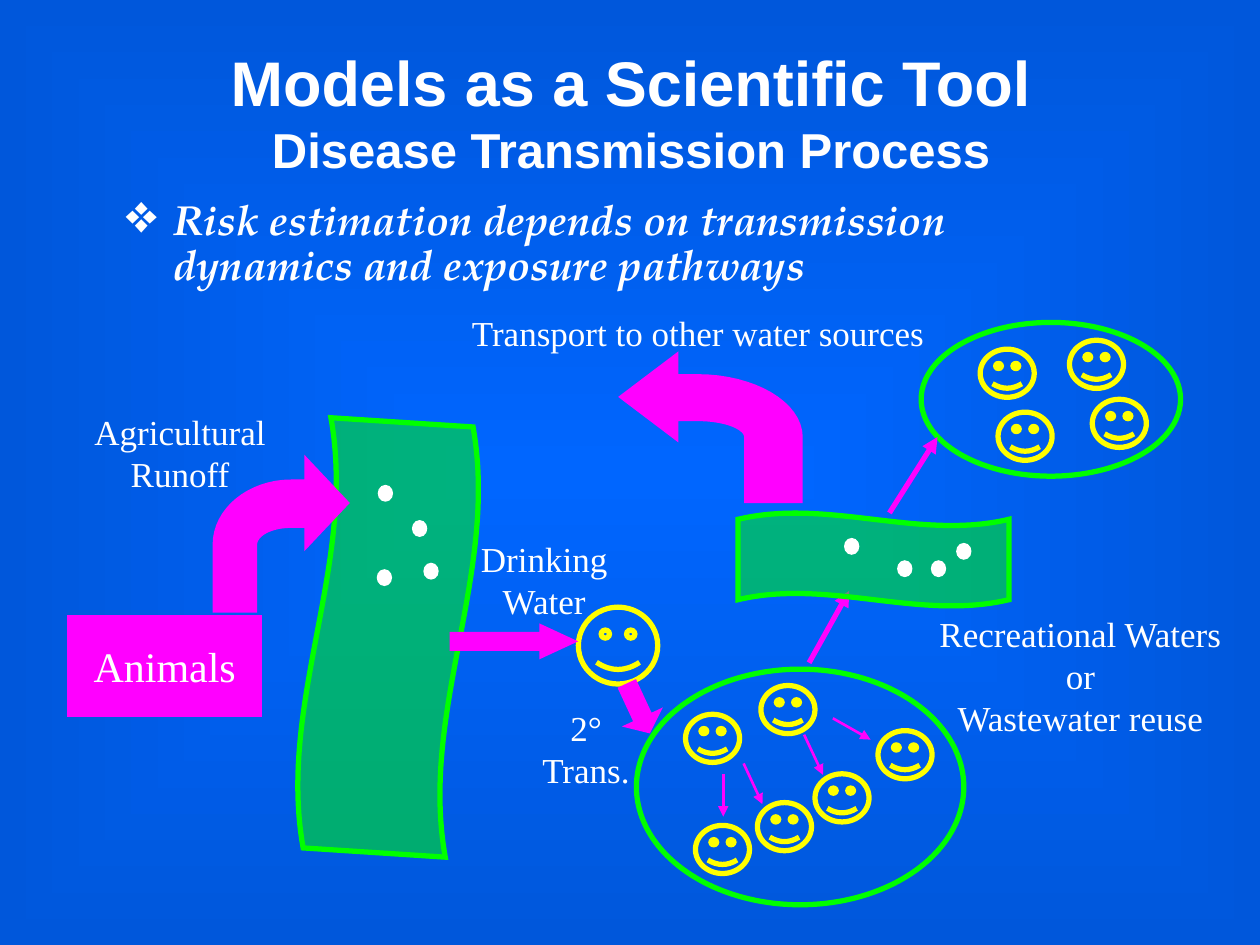
from copy import deepcopy
from typing import NamedTuple

from lxml import etree
from pptx import Presentation
from pptx import util as u
from pptx.dml.color import RGBColor
from pptx.enum import shapes, text
from pptx.oxml.ns import qn

GREEN, MAGENTA, YELLOW, WHITE = "00FF00", "FF00FF", "FFFF00", "FFFFFF"
SERIF = "Times New Roman"
FACE_SIZE = (1.09, 0.97)
GERM_SIZE = (0.2, 0.23)
Shape = shapes.MSO_SHAPE


class Box(NamedTuple):
    """Place and size in centimetres."""
    left: float
    top: float
    width: float
    height: float

    def emu(self):
        return [u.Cm(length) for length in self]


class Label(NamedTuple):
    words: str
    box: Box
    wrap: bool = False


class Path(NamedTuple):
    """Arrow line from one point to another, in centimetres."""
    x1: float
    y1: float
    x2: float
    y2: float
    width: float = 1.5


def rgb(color: str) -> RGBColor:
    return RGBColor.from_string(color)


def paint(shape, line: str, fill: str | None = None, opacity: int = 100):
    shape.shadow.inherit = False
    shape.line.color.rgb = rgb(line)
    shape.line.width = u.Pt(3)
    outline = shape._element.spPr.find(qn("a:ln"))
    etree.SubElement(outline, qn("a:miter"), lim="800000")
    if fill is None:
        shape.fill.background()
        return
    shape.fill.solid()
    shape.fill.fore_color.rgb = rgb(fill)
    if opacity < 100:
        tone = shape._element.spPr.find(qn("a:solidFill")).find(qn("a:srgbClr"))
        etree.SubElement(tone, qn("a:alpha"), val=str(opacity * 1000))


def draw(kind, box: Box, line: str, fill: str | None = None, opacity: int = 100,
         adjust: tuple = (), rotation: float = 0):
    shape = slide.shapes.add_shape(kind, *box.emu())
    for index, value in enumerate(adjust):
        shape.adjustments[index] = value
    shape.rotation = rotation
    paint(shape, line, fill, opacity)
    return shape


def draw_face(box: Box):
    draw(Shape.SMILEY_FACE, box, YELLOW, adjust=(0.093,))


def draw_faces(corners: list):
    for corner in corners:
        draw_face(Box(*corner, *FACE_SIZE))


def draw_germs(corners: list):
    for corner in corners:
        draw(Shape.OVAL, Box(*corner, *GERM_SIZE), WHITE, WHITE)


def draw_path(path: Path):
    ends = [u.Cm(length) for length in path[:4]]
    line = slide.shapes.add_connector(shapes.MSO_CONNECTOR.STRAIGHT, *ends)
    line.line.color.rgb = rgb(MAGENTA)
    line.line.width = u.Pt(path.width)
    properties = line._element.spPr
    etree.SubElement(properties.find(qn("a:ln")), qn("a:tailEnd"), type="triangle")
    etree.SubElement(properties, qn("a:effectLst"))


def curve(start: tuple, first: tuple, second: tuple, end: tuple, steps: int = 16) -> list:
    """Points along a cubic curve."""
    points = []
    for step in range(steps + 1):
        t = step / steps
        weights = ((1 - t) ** 3, 3 * t * (1 - t) ** 2, 3 * t * t * (1 - t), t ** 3)
        points.append(tuple(sum(w * p[axis] for w, p in zip(weights, (start, first, second, end)))
                            for axis in (0, 1)))
    return points


def draw_bent_arrow(box: Box, to_left: bool = False):
    outline = [(0, 1)]
    outline += curve((0, 0.56), (0, 0.33), (0.26, 0.14), (0.58, 0.14))
    outline += [(0.7, 0.14), (0.7, 0), (1, 0.28), (0.7, 0.56), (0.7, 0.43)]
    outline += curve((0.58, 0.43), (0.42, 0.43), (0.3, 0.49), (0.3, 0.56))
    outline.append((0.3, 1))
    points = [(u.Cm(box.left + box.width * (1 - x if to_left else x)),
               u.Cm(box.top + box.height * y)) for x, y in outline]
    builder = slide.shapes.build_freeform(*points[0])
    builder.add_line_segments(points[1:])
    paint(builder.convert_to_shape(), MAGENTA, MAGENTA)


def style(paragraph, size: float, font: str, bold: bool = False, italic: bool = False):
    for run in paragraph.runs:
        run.font.size, run.font.name = u.Pt(size), font
        run.font.bold, run.font.italic = bold, italic
        run.font.color.rgb = rgb(WHITE)


def draw_label(label: Label):
    frame = slide.shapes.add_textbox(*label.box.emu()).text_frame
    frame.text = label.words
    frame.word_wrap = label.wrap
    frame.auto_size = text.MSO_AUTO_SIZE.SHAPE_TO_FIT_TEXT
    for paragraph in frame.paragraphs:
        paragraph.alignment = text.PP_ALIGN.CENTER
        style(paragraph, 20, SERIF)


prs = Presentation()
prs.slide_width, prs.slide_height = u.Cm(25.4), u.Cm(19.05)
slide = prs.slides.add_slide(prs.slide_layouts[5])

# Background, lighter towards the middle
background = slide.background.fill
background.gradient()
for stop, color in zip(background.gradient_stops, ("0066FF", "0057DB")):
    stop.color.rgb = rgb(color)
gradient = slide._element.find(".//" + qn("a:gradFill"))
gradient.remove(gradient.find(qn("a:lin")))
centre = etree.SubElement(gradient, qn("a:path"), path="rect")
etree.SubElement(centre, qn("a:fillToRect"), l="50000", t="50000", r="50000", b="50000")

# Title and subtitle
title = slide.shapes.title
title.left, title.top, title.width, title.height = Box(1.19, 0.64, 23.06, 3.18).emu()
title.text_frame.text = "Models as a Scientific Tool\vDisease Transmission Process"
title.text_frame.vertical_anchor = text.MSO_ANCHOR.MIDDLE
title.text_frame.auto_size = text.MSO_AUTO_SIZE.NONE
heading = title.text_frame.paragraphs[0]
heading.alignment = text.PP_ALIGN.CENTER
style(heading, 36, "Arial", bold=True)
heading.runs[1].font.size = u.Pt(28)
heading._p.find(qn("a:br")).append(deepcopy(heading.runs[0]._r.rPr))

# Key statement
statement = slide.shapes.add_textbox(*Box(2.29, 3.89, 20.8, 2.59).emu()).text_frame
statement.word_wrap = True
statement.text = "Risk estimation depends on transmission dynamics and exposure pathways"
point = statement.paragraphs[0]
point.line_spacing = 0.9
bullet = point._p.get_or_add_pPr()
bullet.set("marL", str(u.Cm(0.95)))
bullet.set("indent", str(-u.Cm(0.95)))
etree.SubElement(bullet, qn("a:buSzPct"), val="130000")
etree.SubElement(bullet, qn("a:buChar"), char="❖")
style(point, 24, "TeX Gyre Pagella", bold=True, italic=True)

# Exposed community and river
draw(Shape.OVAL, Box(12.83, 13.49, 6.6, 4.75), GREEN)
draw(Shape.WAVE, Box(3.48, 11.2, 8.69, 3.3), GREEN, GREEN, 50, (0.065, 0), 273.7)

# Animal source, runoff and germs in the river
animals = draw(Shape.RECTANGLE, Box(1.4, 12.45, 3.84, 1.96), MAGENTA, MAGENTA).text_frame
animals.text = "Animals"
animals.word_wrap = False
animals.vertical_anchor = text.MSO_ANCHOR.MIDDLE
animals.paragraphs[0].alignment = text.PP_ALIGN.CENTER
style(animals.paragraphs[0], 24, SERIF)
draw_bent_arrow(Box(4.34, 9.3, 2.64, 3))
draw_germs([(7.65, 11.53), (8.36, 10.54), (8.59, 11.4), (7.67, 9.83)])

# Drinking water and secondary transmission
draw_face(Box(11.66, 12.24, 1.6, 1.55))
draw(Shape.RIGHT_ARROW, Box(9.12, 12.65, 2.41, 0.56), MAGENTA, MAGENTA, adjust=(0.5, 1.08))
draw(Shape.RIGHT_ARROW, Box(12.37, 13.97, 0.99, 0.61), MAGENTA, MAGENTA,
     adjust=(0.5, 0.4), rotation=65.1)
draw_faces([(13.82, 14.4), (15.34, 13.82), (14.02, 16.64),
            (15.27, 16.18), (16.43, 15.6), (17.7, 14.73)])
for route in (Path(14.58, 15.6, 14.58, 16.46), Path(14.99, 15.39, 15.37, 16.21),
              Path(16.21, 14.81, 16.59, 15.62), Path(16.79, 14.48, 17.55, 14.91),
              Path(16.31, 13.36, 17.12, 11.91, 3)):
    draw_path(route)

# Recreational waters and the second community
draw_faces([(19.76, 7.04), (20.12, 8.31), (21.56, 6.86), (22.02, 8.05)])
draw(Shape.OVAL, Box(18.57, 6.5, 5.23, 3.1), GREEN)
draw(Shape.WAVE, Box(14.88, 10.34, 5.46, 1.88), GREEN, GREEN, 50, (0.069, 0))
draw_germs([(18.14, 11.35), (19.33, 11), (17.07, 10.9), (18.82, 11.35)])
draw_path(Path(17.93, 10.34, 18.9, 8.81, 3))
draw_bent_arrow(Box(12.55, 7.19, 3.58, 2.9), to_left=True)

# Pathway labels
for pathway in (
    Label("Agricultural\nRunoff", Box(1.6, 8.15, 4.06, 1.96)),
    Label("Drinking\nWater", Box(9.17, 10.72, 3.6, 1.96)),
    Label("2°\nTrans.", Box(10.57, 14.12, 2.49, 1.96)),
    Label("Recreational Waters\nor\nWastewater reuse", Box(18.16, 12.22, 7.24, 2.79), wrap=True),
    Label("Transport to other water sources", Box(9.15, 6.15, 9.85, 1.12)),
):
    draw_label(pathway)

prs.save("out.pptx")
